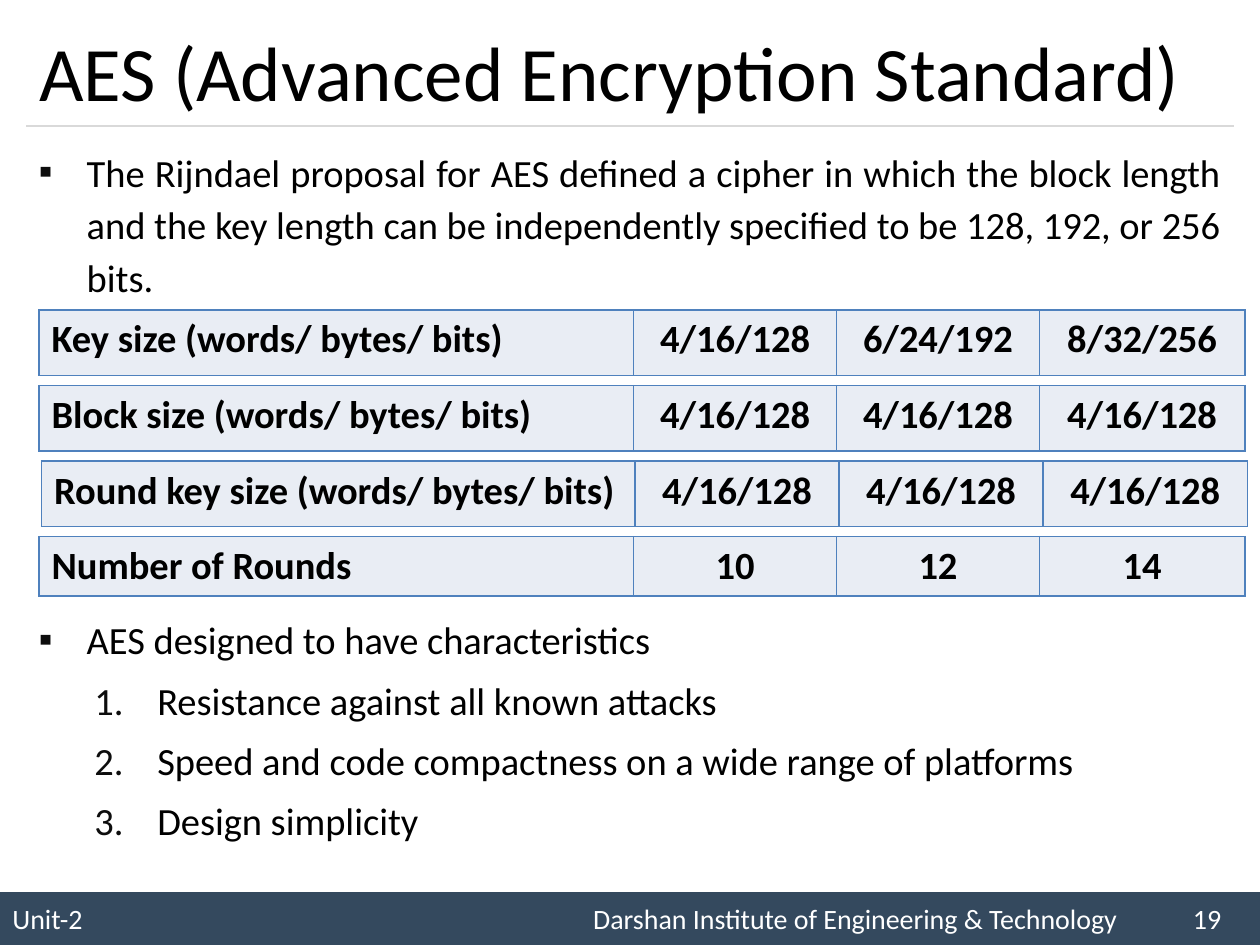
from lxml.etree import SubElement
from pptx import Presentation
from pptx.dml.color import RGBColor
from pptx.enum.shapes import MSO_CONNECTOR as Connector, MSO_SHAPE as Shape
from pptx.enum.text import MSO_ANCHOR as Anchor, MSO_AUTO_SIZE as AutoSize, PP_ALIGN as Align
from pptx.oxml.ns import qn
from pptx.util import Inches, Pt

WIDTH, HEIGHT = Inches(10), Inches(7.5)
FONT = "Calibri"
BLACK, WHITE, NAVY, RULE = "000000", "FFFFFF", "34495E", "D9D9D9"
CELL_FILL, CELL_LINE, BULLET = "E9EDF4", "4F81BD", "0D0D0D"
BODY_SIZE = 22
LEFT, SPAN = 2.1, 95.8  # text column, percent of the slide width

INTRO = [(0, "The Rijndael proposal for AES defined a cipher in which the block "
             "length and the key length can be independently specified to be "
             "128, 192, or 256 bits.")]
CHARACTERISTICS = [
    (0, "AES designed to have characteristics"),
    (1, "Resistance against all known attacks"),
    (1, "Speed and code compactness on a wide range of platforms"),
    (1, "Design simplicity"),
]

# Left, row height (percent of the slide), column weights, cells
WIDE_LABEL, EVEN = (4.72, 1.61, 1.61, 1.63), (4.71, 1.62, 1.62, 1.62)
PARAMETERS = [
    (3.1, 6.93, WIDE_LABEL,
     ("Key size (words/ bytes/ bits)", "4/16/128", "6/24/192", "8/32/256")),
    (3.1, 6.93, WIDE_LABEL,
     ("Block size (words/ bytes/ bits)", "4/16/128", "4/16/128", "4/16/128")),
    (3.3, 6.93, EVEN,
     ("Round key size (words/ bytes/ bits)", "4/16/128", "4/16/128", "4/16/128")),
    (3.1, 6.27, WIDE_LABEL, ("Number of Rounds", "10", "12", "14")),
]


def color(value):
    return RGBColor.from_string(value)


def box(left, top, width, height):
    """Turn percentages of the slide into lengths."""
    return (int(WIDTH * left / 100), int(HEIGHT * top / 100),
            int(WIDTH * width / 100), int(HEIGHT * height / 100))


def add_run(paragraph, text, size, ink=BLACK, bold=False):
    run = paragraph.add_run()
    run.text = text
    run.font.name, run.font.size, run.font.bold = FONT, Pt(size), bold
    run.font.color.rgb = color(ink)


def add_fill(parent, value):
    SubElement(SubElement(parent, qn("a:solidFill")), qn("a:srgbClr"), val=value)


def add_title(slide, area, text):
    title = slide.shapes.title
    title.left, title.top, title.width, title.height = area
    frame = title.text_frame
    frame.auto_size = AutoSize.NONE
    frame.vertical_anchor = Anchor.MIDDLE
    paragraph = frame.paragraphs[0]
    paragraph.alignment = Align.LEFT
    add_run(paragraph, text, 44)


def add_rule(slide, area):
    left, top, width, height = area
    rule = slide.shapes.add_connector(Connector.STRAIGHT, left, top,
                                      left + width, top + height)
    rule.line.color.rgb = color(RULE)
    rule.line.width = Pt(0.75)
    SubElement(rule._element.spPr, qn("a:effectLst"))


def add_bullet(paragraph, level):
    """Square bullets on the first level, numbers on the second."""
    margin, hanging = ((0.38, 0.38), (0.94, 0.5))[level]
    properties = paragraph._p.get_or_add_pPr()
    properties.set("marL", str(Inches(margin)))
    properties.set("indent", str(-Inches(hanging)))
    SubElement(SubElement(properties, qn("a:buClr")), qn("a:srgbClr"), val=BULLET)
    SubElement(properties, qn("a:buFont"), typeface=FONT)
    if level:
        SubElement(properties, qn("a:buAutoNum"), type="arabicPeriod")
    else:
        SubElement(properties, qn("a:buChar"), char="▪")


def add_list(slide, area, items):
    frame = slide.shapes.add_textbox(*area).text_frame
    frame.word_wrap = True
    for index, (level, text) in enumerate(items):
        paragraph = frame.add_paragraph() if index else frame.paragraphs[0]
        paragraph.level = level
        paragraph.alignment = Align.JUSTIFY
        add_bullet(paragraph, level)
        paragraph.line_spacing = 1.14
        paragraph.space_before = Pt(BODY_SIZE * 0.2 if index else 0)
        add_run(paragraph, text, BODY_SIZE)


def format_cell(cell, text, alignment):
    properties = cell._tc.get_or_add_tcPr()
    for side in ("a:lnL", "a:lnR", "a:lnT", "a:lnB"):
        add_fill(SubElement(properties, qn(side), w=str(Pt(1))), CELL_LINE)
    cell.fill.solid()
    cell.fill.fore_color.rgb = color(CELL_FILL)
    paragraph = cell.text_frame.paragraphs[0]
    paragraph.alignment = alignment
    add_run(paragraph, text, BODY_SIZE, bold=True)


def add_parameter_table(slide, area, weights, texts):
    table = slide.shapes.add_table(1, len(texts), *area).table
    table.first_row = table.horz_banding = False
    for index, (weight, text) in enumerate(zip(weights, texts)):
        table.columns[index].width = int(area[2] * weight / sum(weights))
        format_cell(table.cell(0, index), text, Align.CENTER if index else Align.LEFT)


def add_footer(slide, area, texts, stops):
    bar = slide.shapes.add_shape(Shape.RECTANGLE, *area)
    bar.shadow.inherit = False
    bar.fill.solid()
    bar.fill.fore_color.rgb = color(NAVY)
    bar.line.fill.background()
    frame = bar.text_frame
    frame.vertical_anchor = Anchor.MIDDLE
    paragraph = frame.paragraphs[0]
    paragraph.alignment = Align.LEFT
    tabs = SubElement(paragraph._p.get_or_add_pPr(), qn("a:tabLst"))
    for stop in stops:
        SubElement(tabs, qn("a:tab"), pos=str(int(area[2] * stop / 100)), algn="l")
    add_run(paragraph, "\t".join(texts), 16, WHITE)


def main():
    presentation = Presentation()
    presentation.slide_width, presentation.slide_height = WIDTH, HEIGHT
    slide = presentation.slides.add_slide(presentation.slide_layouts[5])

    # Footer bar and heading
    add_footer(slide, box(0, 94.4, 100, 5.6),
               ("Unit-2", "Darshan Institute of Engineering & Technology", "19"),
               (46.1, 93.7))
    add_rule(slide, box(LEFT, 13.33, SPAN, 0))
    add_title(slide, box(LEFT, 1.6, SPAN, 11.73), "AES (Advanced Encryption Standard)")

    # Text above and below the tables
    add_list(slide, box(LEFT, 14.4, SPAN, 18.3), INTRO)
    add_list(slide, box(LEFT, 63.87, SPAN, 28.27), CHARACTERISTICS)

    # One-row tables at an equal pitch
    for index, (left, height, weights, texts) in enumerate(PARAMETERS):
        area = box(left, 32.8 + 8 * index, 95.7, height)
        add_parameter_table(slide, area, weights, texts)

    presentation.save("out.pptx")


if __name__ == "__main__":
    main()
